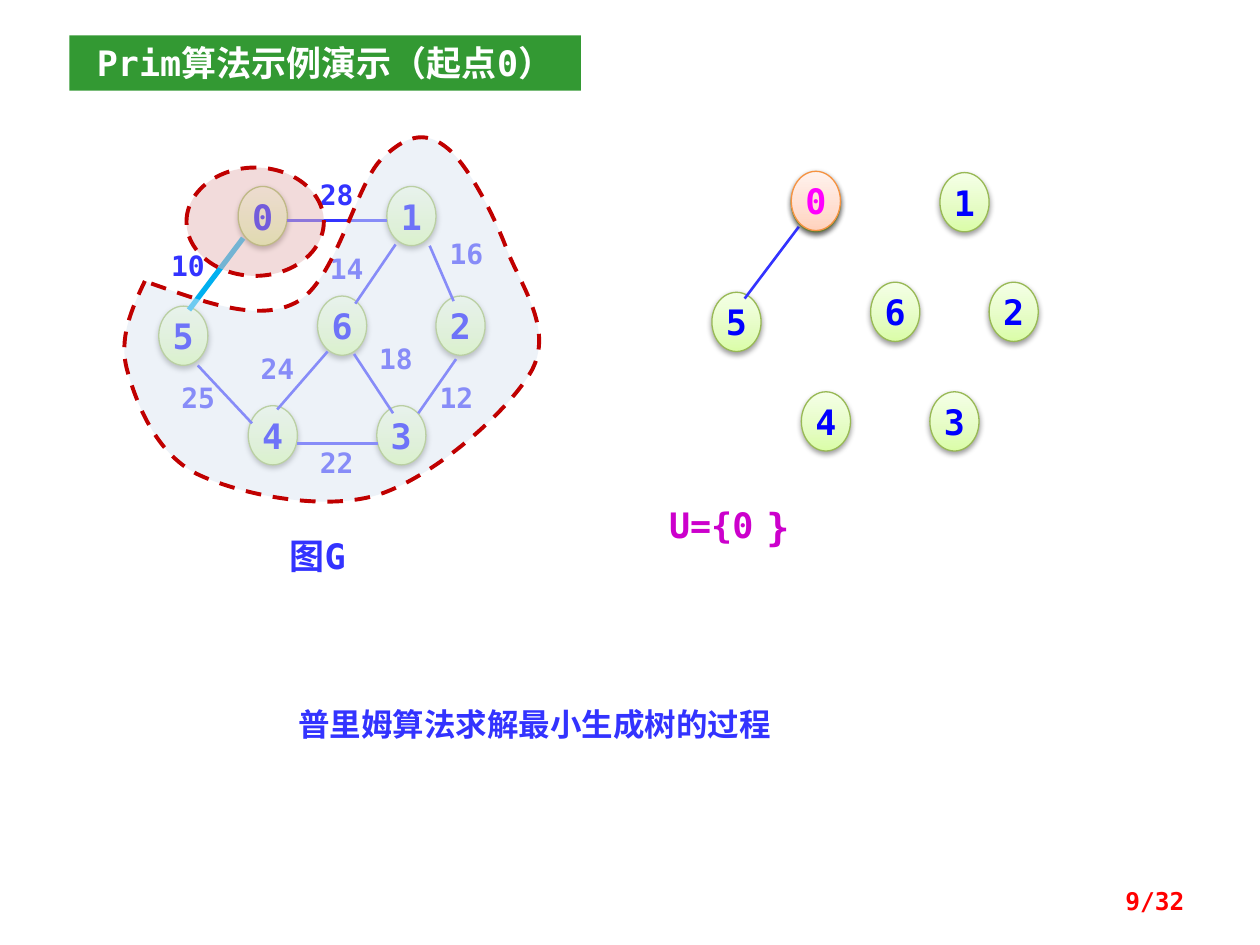
from lxml.etree import SubElement
from pptx import Presentation
from pptx.dml.color import RGBColor
from pptx.enum.dml import MSO_LINE
from pptx.enum.shapes import MSO_CONNECTOR as CONNECTOR, MSO_SHAPE as SHAPE
from pptx.enum.text import MSO_ANCHOR as ANCHOR, PP_ALIGN as ALIGN
from pptx.oxml.ns import qn
from pptx.util import Inches, Pt

MONO = "DejaVu Sans Mono"
SERIF = "Times New Roman"
COLORS = {
    "blue": "3333FF", "node_text": "0000FF", "chosen_text": "FF00FF",
    "set_text": "CC00CC", "page": "FF0000", "white": "FFFFFF",
    "banner": "339933", "chosen_edge": "00B0F0", "boundary": "C00000",
    "visited": "E6B9B8", "unvisited": "DCE6F2",
    "node_line": "98B955", "chosen_line": "F69240", "shadow": "000000",
}
GREEN_STOPS = ((0, "DAFDA7"), (35, "E4FCC2"), (100, "F5FFE7"))
ORANGE_STOPS = ((0, "FFD2BD"), (35, "FFDED0"), (100, "FFF2ED"))
NODE_WIDTH, NODE_HEIGHT = 0.39, 0.47
NODES = {
    "0": (1.89, 1.48), "1": (3.07, 1.48), "5": (1.26, 2.43), "4": (1.97, 3.22),
    "3": (2.99, 3.22), "6": (2.52, 2.35), "2": (3.46, 2.35),
}
TREE_OFFSET = (4.39, -0.11)
TREE_EDGE = (1.93, 1.89, 1.5, 2.46)
EDGES = (
    (2.28, 1.75, 3.07, 1.75), (1.57, 2.9, 2, 3.36), (2.36, 3.52, 3, 3.52),
    (2.2, 3.25, 2.6, 2.79), (2.81, 2.81, 3.12, 3.28), (3.14, 1.94, 2.82, 2.41),
    (3.41, 1.95, 3.6, 2.39), (3.62, 2.85, 3.32, 3.28),
)
WEIGHTS = (
    ("28", 2.44, 1.36), ("10", 1.26, 1.92), ("16", 3.47, 1.83),
    ("14", 2.52, 1.95), ("25", 1.34, 2.97), ("24", 1.97, 2.74),
    ("18", 2.91, 2.66), ("22", 2.44, 3.49), ("12", 3.39, 2.97),
)
# Start point, then two control points and an end point for each curve
UNVISITED_OUTLINE = (
    (1.2, 2.25),
    (1.63, 2.4), (2.05, 2.56), (2.35, 2.4),
    (2.66, 2.24), (2.82, 1.48), (3.02, 1.27),
    (3.22, 1.07), (3.37, 1.04), (3.53, 1.16),
    (3.7, 1.28), (3.92, 1.7), (4.03, 2),
    (4.15, 2.29), (4.39, 2.62), (4.22, 2.94),
    (4.04, 3.26), (3.44, 3.79), (2.99, 3.93),
    (2.55, 4.06), (1.89, 3.92), (1.56, 3.76),
    (1.23, 3.59), (1.08, 3.19), (1.01, 2.94),
    (0.94, 2.69), (1.04, 2.46), (1.15, 2.23),
)


def rgb(name):
    return RGBColor.from_string(COLORS[name])


def write_text(shape, text, size=20, color="blue", font=MONO, align=ALIGN.LEFT,
               anchor=ANCHOR.TOP, wrap=True, inset=None):
    frame = shape.text_frame
    frame.word_wrap = wrap
    frame.vertical_anchor = anchor
    if inset is not None:
        frame.margin_left = frame.margin_right = Inches(inset)
        frame.margin_top = frame.margin_bottom = Inches(inset)
    paragraph = frame.paragraphs[0]
    paragraph.alignment = align
    run = paragraph.add_run()
    run.text = text
    run.font.name = font
    run.font.size = Pt(size)
    run.font.bold = True
    run.font.color.rgb = rgb(color)


def add_text(shapes, text, left, top, width, height, **text_format):
    box = shapes.add_textbox(Inches(left), Inches(top), Inches(width), Inches(height))
    write_text(box, text, **text_format)


def add_title(slide, text, left, top, width, height):
    title = slide.shapes.title
    title.left, title.top = Inches(left), Inches(top)
    title.width, title.height = Inches(width), Inches(height)
    title.fill.solid()
    title.fill.fore_color.rgb = rgb("banner")
    write_text(title, text, color="white", align=ALIGN.CENTER, anchor=ANCHOR.MIDDLE)


def set_gradient(shape, stops):
    """Fill from the bottom up with (percent, hex colour) stops."""
    shape.fill.gradient()
    shape.fill.gradient_angle = 90
    stop_list = shape._element.spPr.find(qn("a:gradFill")).find(qn("a:gsLst"))
    for old_stop in list(stop_list):
        stop_list.remove(old_stop)
    for percent, color in stops:
        stop = SubElement(stop_list, qn("a:gs"), pos=str(percent * 1000))
        SubElement(stop, qn("a:srgbClr"), val=color)


def set_shadow(shape):
    shape.shadow.inherit = False
    effects = shape._element.spPr.find(qn("a:effectLst"))
    shadow = SubElement(effects, qn("a:outerShdw"), blurRad="40000", dist="20000",
                        dir="5400000", rotWithShape="0")
    color = SubElement(shadow, qn("a:srgbClr"), val=COLORS["shadow"])
    SubElement(color, qn("a:alpha"), val="38000")


def add_node(shapes, label, left, top, stops=GREEN_STOPS, line="node_line",
             color="node_text"):
    node = shapes.add_shape(SHAPE.OVAL, Inches(left), Inches(top),
                            Inches(NODE_WIDTH), Inches(NODE_HEIGHT))
    set_gradient(node, stops)
    node.line.color.rgb = rgb(line)
    node.line.width = Pt(0.75)
    set_shadow(node)
    write_text(node, label, color=color, align=ALIGN.CENTER,
               anchor=ANCHOR.MIDDLE, wrap=False)


def add_nodes(shapes, offset=(0, 0)):
    for label, (left, top) in NODES.items():
        add_node(shapes, label, left + offset[0], top + offset[1])


def add_edge(shapes, ends, color="blue", width=1.5, offset=(0, 0)):
    points = [Inches(value + offset[i % 2]) for i, value in enumerate(ends)]
    edge = shapes.add_connector(CONNECTOR.STRAIGHT, *points)
    edge.line.color.rgb = rgb(color)
    edge.line.width = Pt(width)
    SubElement(edge._element.spPr, qn("a:effectLst"))


def format_region(shape, color):
    """Give a vertex set a half-transparent fill and a dashed boundary."""
    shape.shadow.inherit = False
    shape.fill.solid()
    shape.fill.fore_color.rgb = rgb(color)
    fill_color = shape._element.spPr.find(qn("a:solidFill"))[0]
    SubElement(fill_color, qn("a:alpha"), val="50000")
    shape.line.color.rgb = rgb("boundary")
    shape.line.width = Pt(2.25)
    shape.line.dash_style = MSO_LINE.DASH


def add_curved_outline(shapes, points):
    start, *others = [(Inches(x), Inches(y)) for x, y in points]
    builder = shapes.build_freeform(*start)
    builder.add_line_segments(others, close=False)
    shape = builder.convert_to_shape()
    outline = next(shape._element.iter(qn("a:path")))
    segments = outline.findall(qn("a:lnTo"))
    for i in range(0, len(segments), 3):
        curve = SubElement(outline, qn("a:cubicBezTo"))
        for segment in segments[i:i + 3]:
            curve.append(segment[0])
            outline.remove(segment)
    return shape


def main():
    presentation = Presentation()
    presentation.slide_width, presentation.slide_height = Inches(10), Inches(7.5)
    slide = presentation.slides.add_slide(presentation.slide_layouts[5])
    shapes = slide.shapes
    add_title(slide, "Prim算法示例演示（起点0）", 0.55, 0.28, 4.06, 0.44)
    add_text(shapes, "普里姆算法求解最小生成树的过程", 2.27, 5.55, 5.39, 0.4,
             size=18, font=SERIF)

    add_nodes(shapes)
    for ends in EDGES:
        add_edge(shapes, ends)
    add_edge(shapes, TREE_EDGE, color="chosen_edge", width=3)
    for weight, left, top in WEIGHTS:
        add_text(shapes, weight, left, top, 0.55, 0.37, size=16)
    add_text(shapes, "图G", 2.2, 4.19, 1.02, 0.44)

    visited = shapes.add_shape(SHAPE.OVAL, Inches(1.48), Inches(1.33),
                               Inches(1.09), Inches(0.86))
    format_region(visited, "visited")
    format_region(add_curved_outline(shapes, UNVISITED_OUTLINE), "unvisited")

    add_nodes(shapes.add_group_shape().shapes, TREE_OFFSET)
    add_edge(shapes, TREE_EDGE, offset=(4.41, -0.09))
    set_label = shapes.add_group_shape().shapes
    add_text(set_label, "U={0", 5.31, 4, 1.09, 0.34, color="set_text", inset=0)
    add_text(set_label, "}", 5.94, 3.99, 0.47, 0.37, size=22, color="set_text",
             align=ALIGN.CENTER, inset=0)
    add_node(shapes, "0", 6.28, 1.36, ORANGE_STOPS, "chosen_line", "chosen_text")
    add_text(shapes, "9/32", 7.17, 6.95, 2.33, 0.4, size=14, color="page",
             align=ALIGN.RIGHT, anchor=ANCHOR.MIDDLE)
    presentation.save("out.pptx")


if __name__ == "__main__":
    main()
